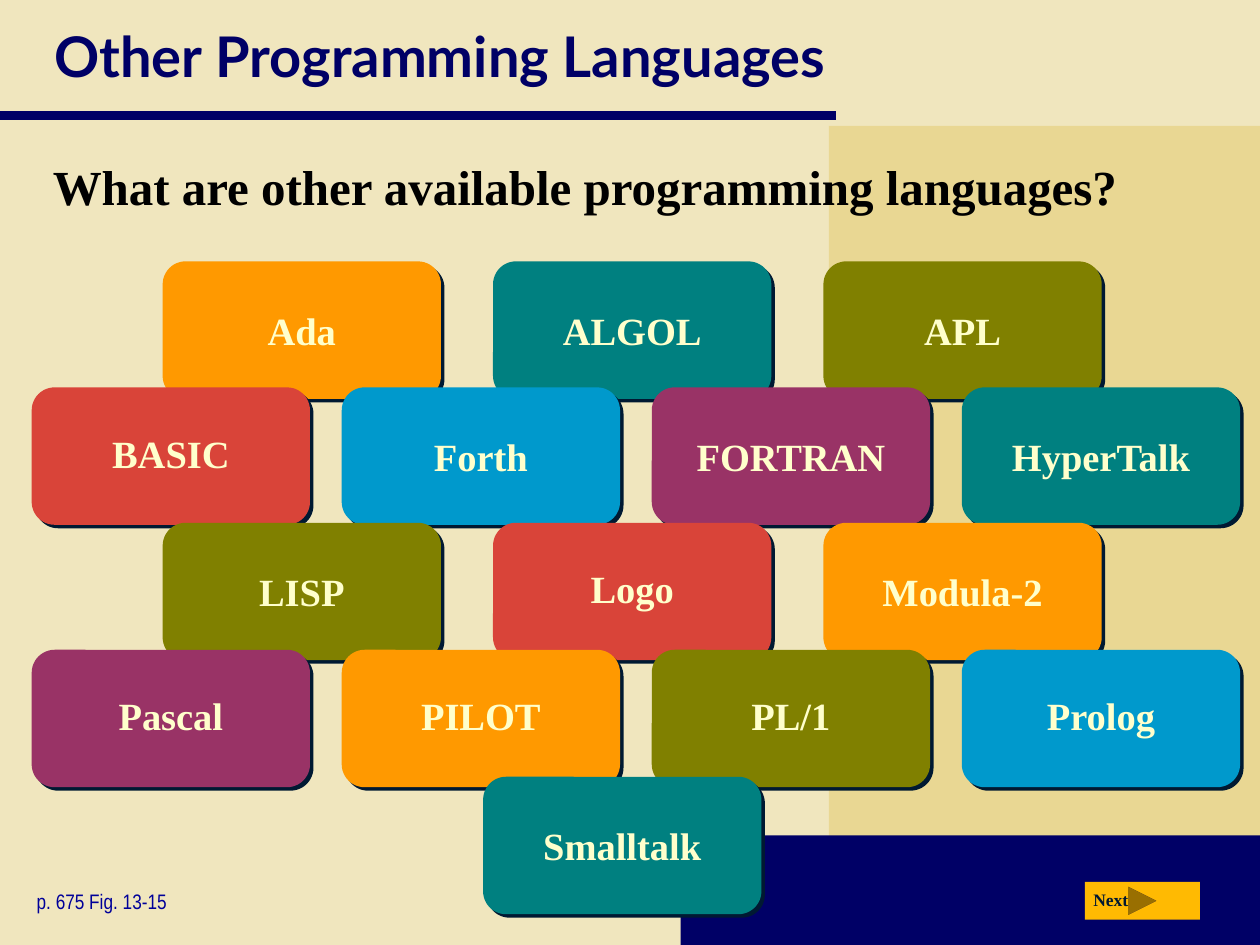
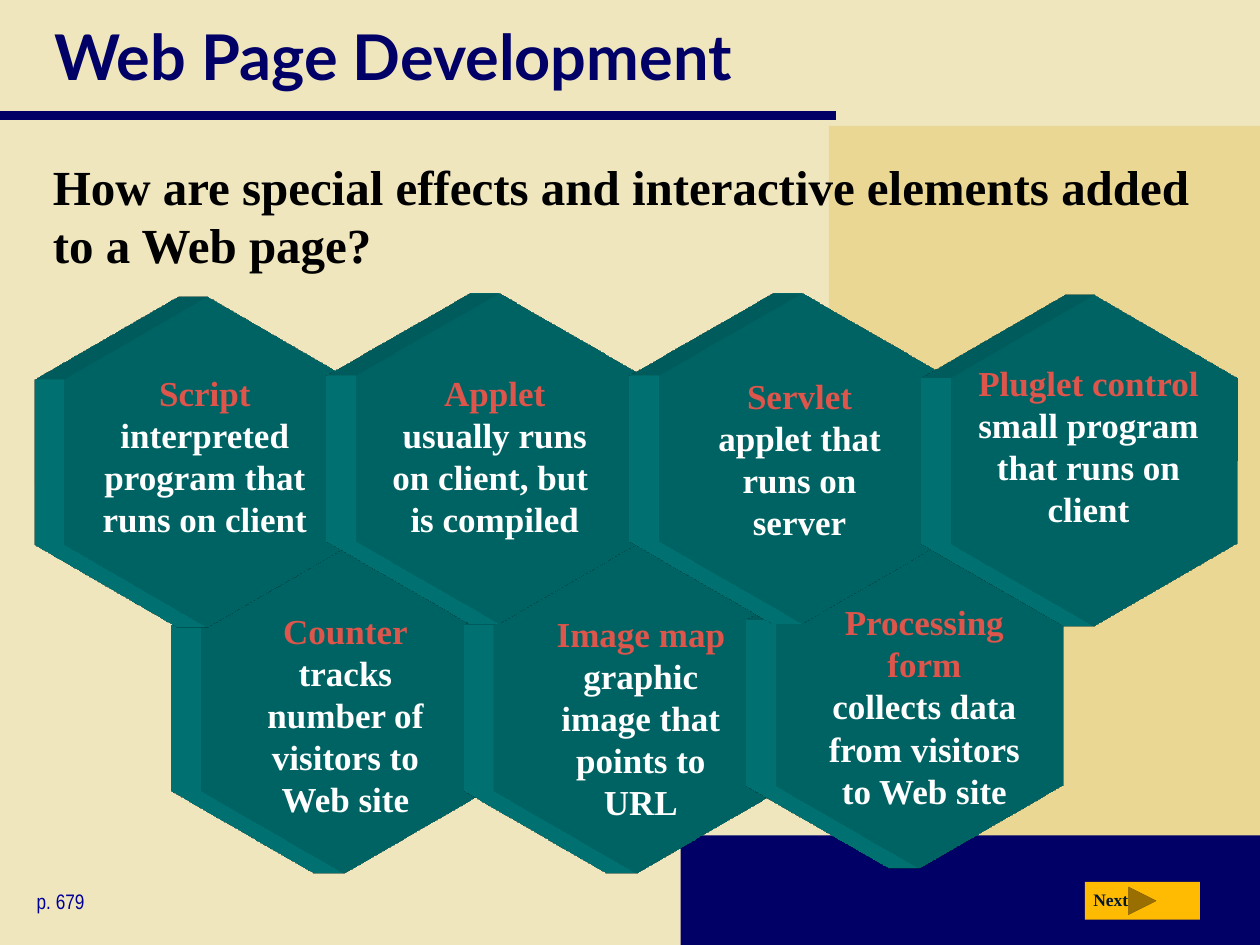
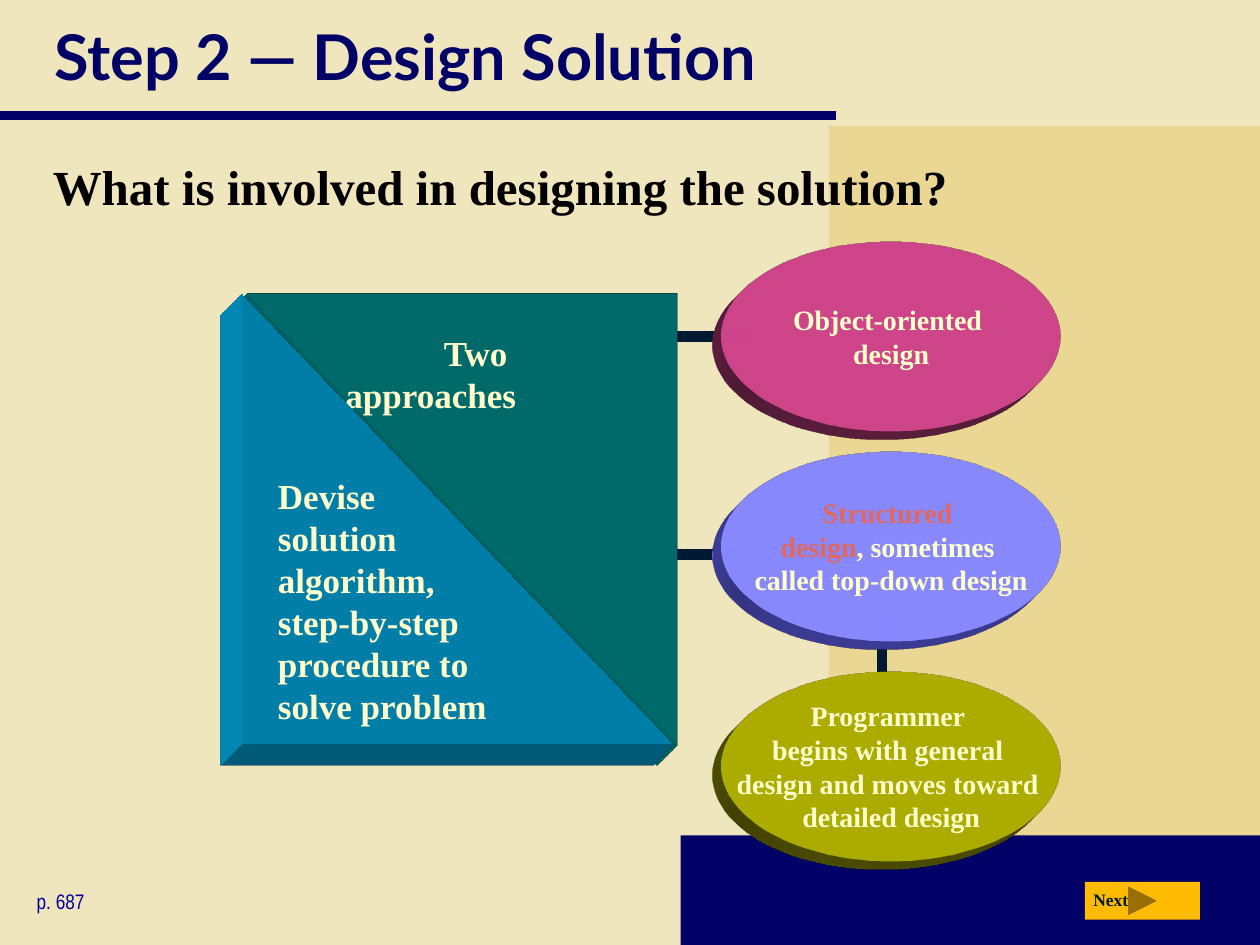
import dataclasses

import lxml.etree
import pptx
import pptx.dml.color
import pptx.enum.shapes
import pptx.enum.text
import pptx.oxml
import pptx.oxml.ns
import pptx.util

Cm = pptx.util.Cm
Shapes = pptx.enum.shapes.MSO_SHAPE
Align = pptx.enum.text.PP_ALIGN
Anchor = pptx.enum.text.MSO_ANCHOR
qn = pptx.oxml.ns.qn


@dataclasses.dataclass(frozen=True)
class Theme:
    """Colours, fonts and type sizes of the presentation."""
    background: str = "F0E6BE"
    panel: str = "E9D793"
    navy: str = "000066"
    reference: str = "000099"
    dark: str = "001932"
    button: str = "FFBA02"
    teal: str = "008080"
    orange: str = "FF9900"
    olive: str = "808000"
    red: str = "D94439"
    plum: str = "993366"
    blue: str = "0099CC"
    violet: str = "6666FF"
    cream: str = "FFFFCC"
    white: str = "FFFFFF"
    black: str = "000000"
    term: str = "DD554B"
    bright_term: str = "E1685F"
    serif: str = "Times New Roman"
    title_font: str = "Lato"
    narrow: str = "Arial Narrow"
    title_size: int = 36
    long_title_size: int = 32
    question_size: int = 28
    tile_size: int = 22
    text_size: int = 20
    oval_size: int = 16
    reference_size: int = 12
    button_size: int = 10


THEME = Theme()


def rgb(colour):
    """Turn a hexadecimal colour into an RGBColor."""
    return pptx.dml.color.RGBColor.from_string(colour)


def append_xml(properties, xml):
    """Append a DrawingML fragment to shape properties."""
    namespace = pptx.oxml.ns.nsdecls("a")
    properties.append(pptx.oxml.parse_xml(xml.replace(">", f" {namespace}>", 1)))


def write(frame, pieces, size, font=THEME.serif, bold=True, align=None,
          anchor=Anchor.TOP, wrap=True, margins=None):
    """Write coloured pieces of text as one paragraph."""
    frame.word_wrap = wrap
    frame.auto_size = pptx.enum.text.MSO_AUTO_SIZE.NONE
    frame.vertical_anchor = anchor
    if margins:
        (frame.margin_left, frame.margin_top,
         frame.margin_right, frame.margin_bottom) = map(Cm, margins)
    paragraph = frame.paragraphs[0]
    paragraph.alignment = align
    paragraph.font.name = font
    paragraph.font.size = pptx.util.Pt(size)
    paragraph.font.bold = bold
    for text, colour in pieces:
        for index, line in enumerate(text.split("\n")):
            if index:
                paragraph.add_line_break()
            if line:
                run = paragraph.add_run()
                run.text = line
                run.font.color.rgb = rgb(colour)
                run.font.size = pptx.util.Pt(size)
                run.font.name = font
                run.font.bold = bold
    return paragraph


def add_block(slide, kind, box, colour):
    """Add a filled shape without outline or shadow."""
    shape = slide.shapes.add_shape(kind, *map(Cm, box))
    shape.shadow.inherit = False
    shape.fill.solid()
    shape.fill.fore_color.rgb = rgb(colour)
    shape.line.fill.background()
    return shape


def add_text(slide, box, pieces, size, **style):
    """Add a text box."""
    text_box = slide.shapes.add_textbox(*map(Cm, box))
    write(text_box.text_frame, pieces, size, **style)


def add_rule(slide, start, end, colour, width):
    """Add a straight line without shadow."""
    connector = slide.shapes.add_connector(
        pptx.enum.shapes.MSO_CONNECTOR.STRAIGHT, *map(Cm, start + end))
    connector.line.color.rgb = rgb(colour)
    connector.line.width = pptx.util.Pt(width)
    append_xml(connector._element.spPr, "<a:effectLst></a:effectLst>")
    return connector


def extrude(shape, colour, direction, depth, rig):
    """Give a shape an oblique depth."""
    properties = shape._element.spPr
    append_xml(properties, f'<a:scene3d><a:camera prst="legacyOblique{direction}"/>'
               f'<a:lightRig rig="{rig}" dir="b"/></a:scene3d>')
    append_xml(properties, f'<a:sp3d extrusionH="{Cm(depth)}" prstMaterial="legacyMatte">'
               f'<a:extrusionClr><a:srgbClr val="{colour}"/></a:extrusionClr></a:sp3d>')


def prepare_layout(presentation, slide):
    """Put the background, bands and title rule on the layout."""
    layout = slide.slide_layout
    layout.background.fill.solid()
    layout.background.fill.fore_color.rgb = rgb(THEME.background)
    bands = [
        add_block(slide, Shapes.RECTANGLE, (16.71, 2.54, 8.69, 16.51), THEME.panel),
        add_block(slide, Shapes.RECTANGLE, (13.72, 16.84, 11.68, 2.21), THEME.navy),
        add_rule(slide, (0, 2.33), (16.86, 2.33), THEME.navy, 5)]
    for position, band in enumerate(bands, 2):
        layout.shapes._spTree.insert(position, band._element)


def place(shape, box):
    """Move and size a placeholder."""
    shape.left, shape.top, shape.width, shape.height = map(Cm, box)


def add_page(presentation, title, question, reference, question_height,
             title_size=THEME.title_size):
    """Add a slide with title, question, page reference and button."""
    slide = presentation.slides.add_slide(presentation.slide_layouts[1])
    if len(presentation.slides) == 1:
        prepare_layout(presentation, slide)
    heading, body = slide.placeholders
    place(heading, (0.84, 0, 23.85, 2.24))
    write(heading.text_frame, [(title, THEME.navy)], title_size,
          font=THEME.title_font, align=Align.LEFT, anchor=Anchor.MIDDLE)
    place(body, (0.81, 3.02, 23.85, question_height))
    paragraph = write(body.text_frame, [(question, THEME.black)], THEME.question_size)
    properties = paragraph._p.get_or_add_pPr()
    properties.set("marL", "0")
    properties.set("indent", "0")
    lxml.etree.SubElement(properties, qn("a:buNone"))
    properties.insert(0, properties[-1])
    paragraph.space_before = pptx.util.Pt(5.6)
    add_text(slide, (0.49, 17.78, 4.29, 0.76), [(reference, THEME.reference)],
             THEME.reference_size, font=THEME.narrow, bold=False)
    add_block(slide, Shapes.ACTION_BUTTON_FORWARD_OR_NEXT,
              (21.87, 17.78, 2.32, 0.76), THEME.button)
    add_text(slide, (21.79, 17.8, 1.3, 0.69), [("Next", THEME.dark)], THEME.button_size)
    return slide


def add_tile(slide, left, top, name, colour, line_spacing):
    """Add a rounded tile with a hard shadow."""
    tile = add_block(slide, Shapes.ROUNDED_RECTANGLE, (left, top, 5.61, 2.77), colour)
    properties = tile._element.spPr
    properties.remove(properties.find(qn("a:effectLst")))
    append_xml(properties, f'<a:effectLst><a:outerShdw dist="{pptx.util.Pt(2.8)}" '
               f'dir="2700000" algn="ctr" rotWithShape="0">'
               f'<a:srgbClr val="{THEME.dark}"/></a:outerShdw></a:effectLst>')
    paragraph = write(tile.text_frame, [(name, THEME.cream)], THEME.tile_size,
                      align=Align.CENTER, anchor=Anchor.MIDDLE, wrap=False,
                      margins=(0, 0, 0, 0))
    paragraph.line_spacing = line_spacing


def add_hexagon(slide, corner, text_box, term, meaning):
    """Add a deep hexagon with a term and its meaning."""
    hexagon = add_block(slide, Shapes.HEXAGON, corner + (6.68, 5.77), THEME.teal)
    hexagon.rotation = 330
    hexagon.adjustments[0] = 0.289
    extrude(hexagon, THEME.teal, "Left", 1.2, "legacyFlat2")
    add_text(slide, text_box, [(term + "\n", THEME.term), (meaning, THEME.white)],
             THEME.text_size, align=Align.CENTER)


def add_oval(slide, top, colour, pieces):
    """Add a deep ellipse with centred text."""
    oval = add_block(slide, Shapes.OVAL, (14.55, top, 6.83, 3.81), colour)
    extrude(oval, colour, "BottomLeft", 0.5, "legacyFlat1")
    write(oval.text_frame, pieces, THEME.oval_size, align=Align.CENTER,
          anchor=Anchor.MIDDLE, wrap=False)


def add_triangle(slide, left, colour):
    """Add a deep right triangle, half of the square."""
    triangle = add_block(slide, Shapes.RIGHT_TRIANGLE, (left, 5.92, 8.69, 9.09), colour)
    extrude(triangle, colour, "BottomLeft", 1.2, "legacyFlat3")
    return triangle


def build_languages(presentation):
    """Build the slide of language tiles."""
    slide = add_page(presentation, "Other Programming Languages",
                     "What are other available programming languages?",
                     "p. 675 Fig. 13-15", 2.06, THEME.long_title_size)
    rows = [
        (3.28, 5.27, 6.66, [("Ada", THEME.orange), ("ALGOL", THEME.teal),
                            ("APL", THEME.olive)]),
        (0.64, 7.81, 6.25, [("BASIC", THEME.red), ("Forth", THEME.blue),
                            ("FORTRAN", THEME.plum), ("HyperTalk", THEME.teal)]),
        (3.28, 10.54, 6.66, [("LISP", THEME.olive), ("Logo", THEME.red),
                             ("Modula-2", THEME.orange)]),
        (0.64, 13.1, 6.25, [("Pascal", THEME.plum), ("PILOT", THEME.orange),
                            ("PL/1", THEME.olive), ("Prolog", THEME.blue)]),
        (9.74, 15.66, 0, [("Smalltalk", THEME.teal)])]
    tight = {"BASIC", "Logo", "Pascal", "PILOT", "PL/1", "Prolog"}
    for left, top, pitch, tiles in rows:
        for column, (name, colour) in enumerate(tiles):
            add_tile(slide, left + column * pitch, top, name, colour,
                     0.9 if name in tight else 1.0)


def build_web_page(presentation):
    """Build the slide of hexagons."""
    slide = add_page(presentation, "Web Page Development",
                     "How are special effects and interactive elements added to a Web page?",
                     "p. 679", 2.9)
    hexagons = [
        ((3.61, 11.38), (4.83, 12.17, 4.27, 4.5), "Counter",
         "tracks number of visitors to Web site"),
        ((9.5, 11.38), (10.8, 12.22, 4.24, 4.5), "Image map",
         "graphic image that points to URL"),
        ((0.84, 6.43), (1.27, 7.37, 5.72, 3.63), "Script",
         "interpreted program that runs on client"),
        ((6.73, 6.35), (7.42, 7.37, 5.11, 3.63), "Applet",
         "usually runs on client, but \nis compiled"),
        ((15.19, 11.28), (16.31, 11.99, 4.65, 4.5), "Processing form",
         "collects data from visitors to Web site"),
        ((12.83, 6.35), (13.82, 7.42, 4.6, 3.63), "Servlet",
         "applet that runs on server"),
        ((18.72, 6.4), (19.33, 7.16, 5.23, 4.5), "Pluglet control",
         "small program that runs on client")]
    for hexagon in hexagons:
        add_hexagon(slide, *hexagon)


def build_design(presentation):
    """Build the slide of design approaches."""
    slide = add_page(presentation, "Step 2 — Design Solution",
                     "What is involved in designing the solution?", "p. 687", 1.83)
    branches = [
        ((17.78, 12.5), (17.78, 14.4), 13.54, THEME.olive,
         [("Programmer \nbegins with general \ndesign and moves toward \ndetailed design",
           THEME.cream)]),
        ((12.7, 6.78), (15.19, 6.78), 4.88, THEME.plum,
         [("Object-oriented \ndesign", THEME.cream)]),
        ((12.4, 11.18), (14.86, 11.18), 9.1, THEME.violet,
         [("Structured \ndesign", THEME.bright_term),
          (", sometimes \ncalled top-down design", THEME.cream)])]
    for start, end, top, colour, pieces in branches:
        add_rule(slide, start, end, THEME.dark, 6)
        add_oval(slide, top, colour, pieces)
    upper = add_triangle(slide, 4.98, THEME.teal)
    upper.rotation = 180
    write(upper.text_frame, [("Two \napproaches", THEME.cream)], THEME.text_size,
          align=Align.RIGHT, wrap=False, margins=(0, 0, 2.54, 0))
    upper.text_frame._txBody.bodyPr.set("rot", "10800000")
    lower = add_triangle(slide, 4.88, THEME.blue)
    write(lower.text_frame,
          [("Devise solution algorithm, step-by-step procedure to solve problem",
            THEME.cream)],
          THEME.text_size, align=Align.LEFT, anchor=Anchor.MIDDLE,
          margins=(0, 0, 0, 1.27))


def main():
    """Build and save the presentation."""
    presentation = pptx.Presentation()
    presentation.slide_width = Cm(25.4)
    presentation.slide_height = Cm(19.05)
    build_languages(presentation)
    build_web_page(presentation)
    build_design(presentation)
    presentation.save("out.pptx")


if __name__ == "__main__":
    main()
